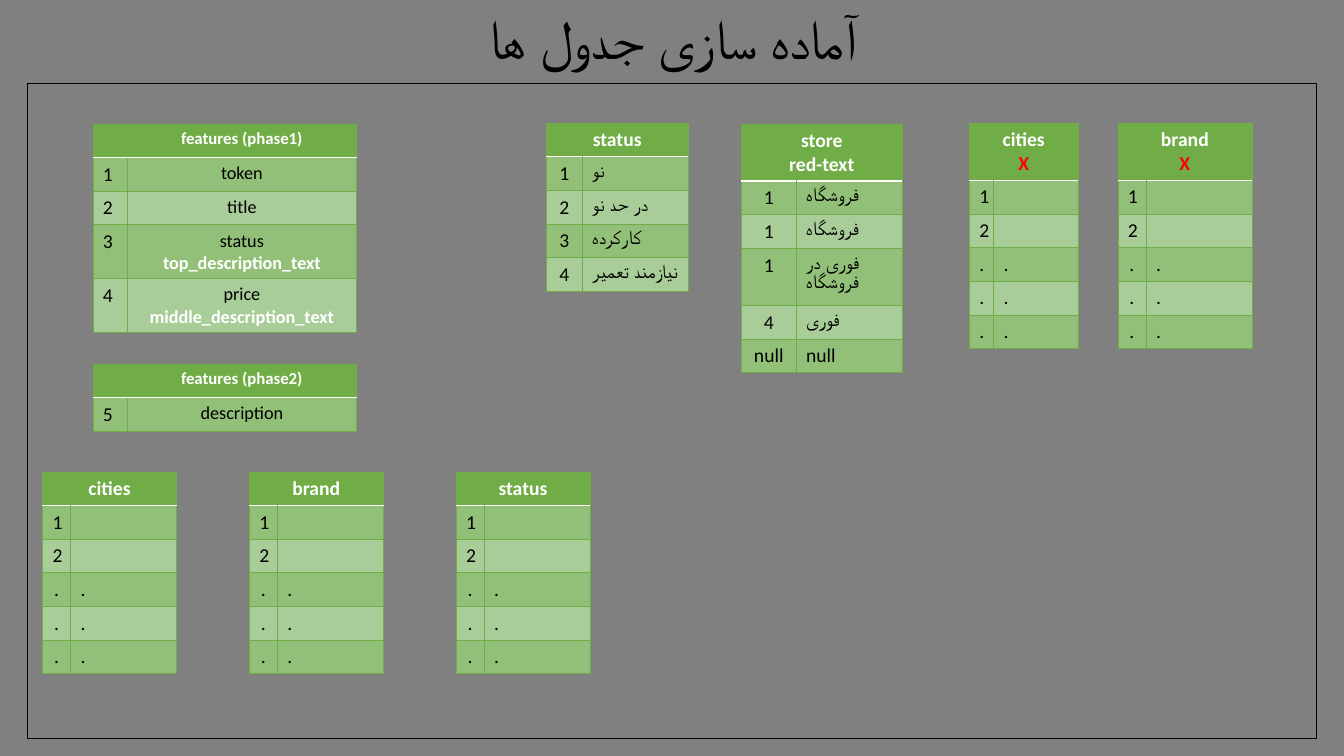
from lxml import etree
from pptx import Presentation
from pptx.dml.color import RGBColor
from pptx.enum.shapes import MSO_SHAPE
from pptx.enum.text import MSO_ANCHOR, PP_ALIGN
from pptx.oxml.ns import qn
from pptx.util import Cm, Pt

RECT = MSO_SHAPE.RECTANGLE
MIDDLE = MSO_ANCHOR.MIDDLE
LEFT, CENTER = PP_ALIGN.LEFT, PP_ALIGN.CENTER
FONT = "Calibri"
GREEN, ODD, EVEN = "70AD47", "92C078", "A9CD98"
BLACK, WHITE, RED, GRAY = "000000", "FFFFFF", "FF0000", "808080"
ROW = 0.63
DOTS = [("1", ""), ("2", ""), (".", "."), (".", "."), (".", ".")]
PHASE1 = [("1", "token"), ("2", "title"),
          ("3", "status\ntop_description_text"),
          ("4", "price\nmiddle_description_text")]
PHASE2 = [("5", "description")]
STATUS = [("1", "نو"), ("2", "در حد نو"), ("3", "کارکرده"),
          ("4", "نیازمند تعمیر")]
STORE = [("1", "فروشگاه"), ("1", "فروشگاه"), ("1", "فوری در فروشگاه"),
         ("4", "فوری"), ("null", "null")]


def rgb(code):
    """Turn a hex string into a colour."""
    return RGBColor.from_string(code)


def style(para, size, color, bold=False, align=LEFT):
    """Format a paragraph and its runs."""
    para.alignment = align
    for run in para.runs:
        font = run.font
        font.name, font.size, font.bold = FONT, Pt(size), bold
        font.color.rgb = rgb(color)
    if not para.runs:
        para._p.get_or_add_endParaRPr().set("sz", str(size * 100))


def edge(cell, tops, bottom):
    """Draw the four borders of a cell."""
    props = cell._tc.get_or_add_tcPr()
    sides = (("lnL", GREEN), ("lnR", GREEN), ("lnT", tops), ("lnB", bottom))
    for spot, (side, color) in enumerate(sides):
        width = Pt(1) if color == WHITE else Pt(0.5)
        line = etree.Element(qn("a:" + side), w=str(width))
        fill = etree.SubElement(line, qn("a:solidFill"))
        etree.SubElement(fill, qn("a:srgbClr"), val=color)
        props.insert(spot, line)


def paint(cell, fill, tops=GREEN, bottom=GREEN):
    """Fill a cell and draw its borders."""
    cell.fill.solid()
    cell.fill.fore_color.rgb = rgb(fill)
    edge(cell, tops, bottom)


def add_grid(slide, left, top, cols, head, rows):
    """Place a two-column table with a header that spans both columns."""
    grid = start_grid(slide, left, top, cols, rows)
    cell = grid.cell(0, 0)
    cell.merge(grid.cell(0, 1))
    cell.text = head
    for para in cell.text_frame.paragraphs:
        style(para, 14, RED if para.text == "X" else WHITE, True, CENTER)
    for r, row in enumerate(rows, 1):
        for c, align in enumerate((CENTER, LEFT)):
            cell = grid.cell(r, c)
            cell.text = row[c]
            style(cell.text_frame.paragraphs[0], 14, BLACK, align=align)


def add_list(slide, left, top, cols, head, rows):
    """Place a numbered feature table with the header in its second column."""
    grid = start_grid(slide, left, top, cols, rows)
    style(grid.cell(0, 0).text_frame.paragraphs[0], 14, WHITE)
    cell = grid.cell(0, 1)
    cell.text = head
    style(cell.text_frame.paragraphs[0], 12, WHITE, True, CENTER)
    for r, (mark, text) in enumerate(rows, 1):
        cell = grid.cell(r, 0)
        cell.text = mark
        style(cell.text_frame.paragraphs[0], 14, BLACK)
        cell = grid.cell(r, 1)
        cell.text = text
        for n, para in enumerate(cell.text_frame.paragraphs):
            style(para, 13, WHITE if n else BLACK, n > 0, CENTER)


def start_grid(slide, left, top, cols, rows):
    """Add an empty banded table and return it."""
    count = len(rows) + 1
    grid = slide.shapes.add_table(count, 2, Cm(left), Cm(top), Cm(sum(cols)),
                                  Cm(ROW * count)).table
    grid.first_row = grid.horz_banding = False
    for col, width in zip(grid.columns, cols):
        col.width = Cm(width)
    for r, row in enumerate(grid.rows):
        row.height = Cm(ROW)
        for cell in row.cells:
            if r == 0:
                paint(cell, GREEN, bottom=WHITE)
            else:
                paint(cell, ODD if r % 2 else EVEN,
                      tops=WHITE if r == 1 else GREEN)
    return grid


def add_title(slide, left, top, width, height):
    """Place the slide heading."""
    box = slide.shapes.add_textbox(Cm(left), Cm(top), Cm(width), Cm(height))
    frame = box.text_frame
    frame.word_wrap = True
    frame.vertical_anchor = MIDDLE
    frame.text = "آماده سازی جدول ها"
    para = frame.paragraphs[0]
    para.line_spacing = 0.9
    style(para, 39.6, BLACK, align=CENTER)


def add_frame(slide, left, top, width, height):
    """Draw the outline around the tables."""
    box = slide.shapes.add_shape(RECT, Cm(left), Cm(top), Cm(width), Cm(height))
    box.shadow.inherit = False
    box.fill.background()
    box.line.color.rgb = rgb(BLACK)
    box.line.width = Pt(0.75)


def main():
    """Build the slide and save it."""
    deck = Presentation()
    deck.slide_width, deck.slide_height = Cm(33.87), Cm(19.05)
    slide = deck.slides.add_slide(deck.slide_layouts[6])
    back = slide.background.fill
    back.solid()
    back.fore_color.rgb = rgb(GRAY)
    add_title(slide, 2.34, 0.43, 29.21, 1.24)
    add_frame(slide, 0.69, 2.11, 32.49, 16.51)
    for n, head in enumerate(("cities", "brand", "status")):
        add_grid(slide, 1.07 + 5.21 * n, 11.89, (0.71, 2.67), head, DOTS)
    add_list(slide, 2.34, 3.12, (0.86, 5.79), "features (phase1)", PHASE1)
    add_list(slide, 2.34, 9.17, (0.86, 5.79), "features (phase2)", PHASE2)
    add_grid(slide, 24.43, 3.1, (0.58, 2.13), "cities\nX", DOTS)
    add_grid(slide, 28.17, 3.1, (0.71, 2.67), "brand\nX", DOTS)
    add_grid(slide, 13.77, 3.1, (0.9, 2.67), "status", STATUS)
    add_grid(slide, 18.69, 3.12, (1.37, 2.67), "store\nred-text", STORE)
    deck.save("out.pptx")


if __name__ == "__main__":
    main()
